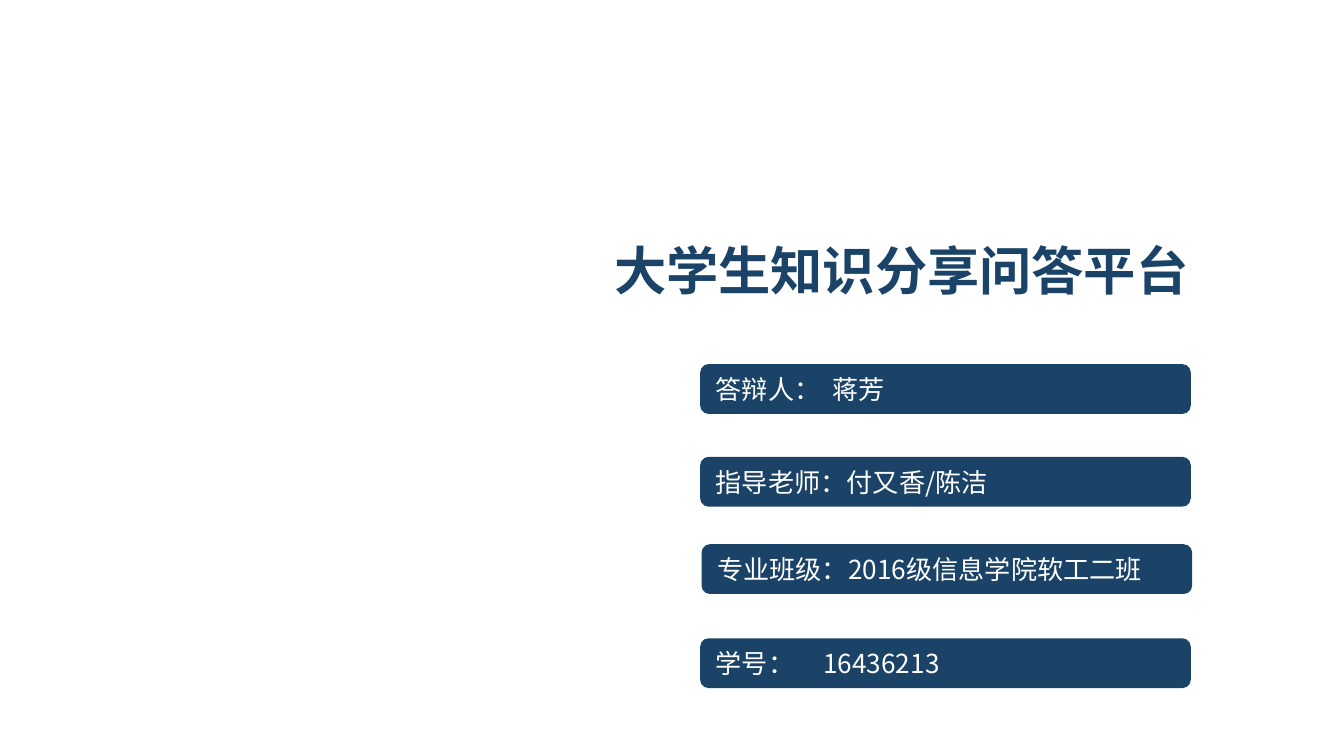
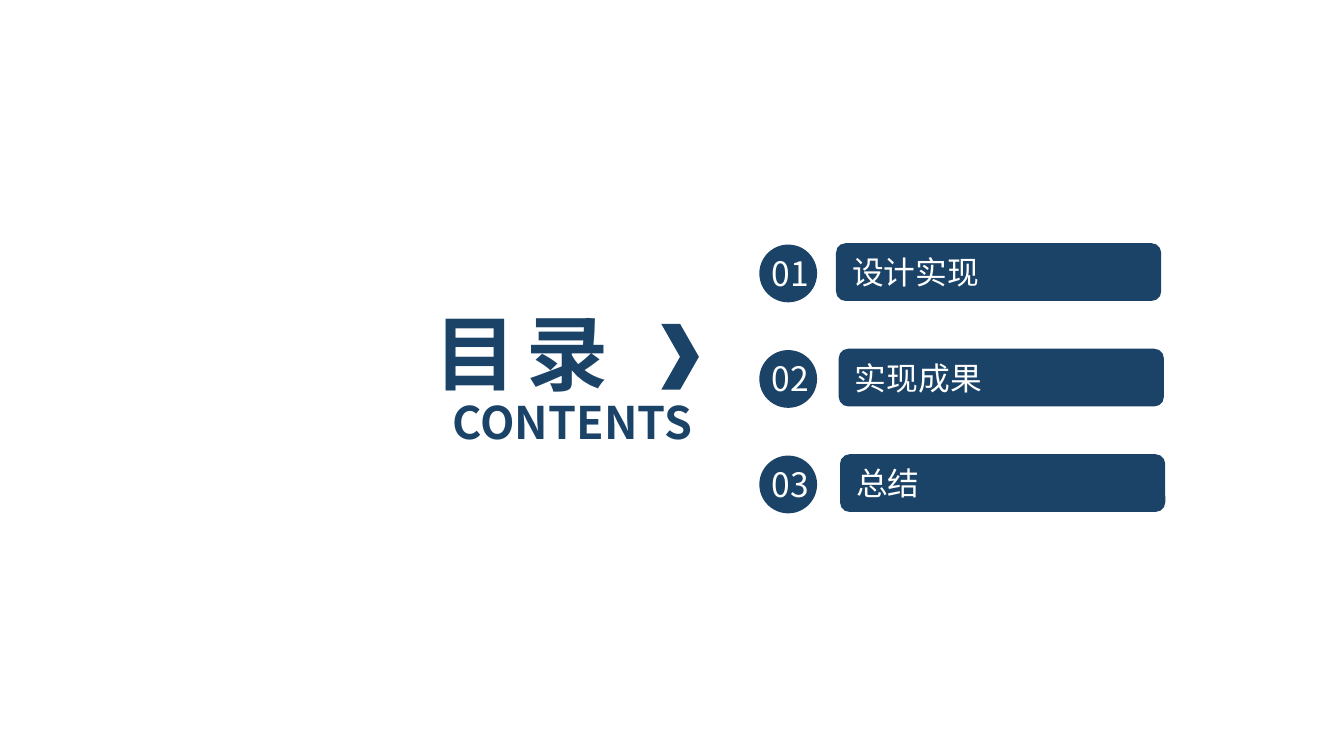
"""Build the cover and contents slides of a thesis defence deck."""
from lxml import etree
from pptx import Presentation
from pptx import util as u
from pptx.dml.color import RGBColor
from pptx.enum import shapes, text
from pptx.oxml.ns import qn

FONT = "Noto Sans CJK SC"
NAVY, WHITE = "1B4367", "FFFFFF"
SHAPE = shapes.MSO_SHAPE
LEFT, CENTER = text.PP_ALIGN.LEFT, text.PP_ALIGN.CENTER
SLIDE_WIDTH = u.Inches(10)
SLIDE_HEIGHT = SLIDE_WIDTH * 9 // 16

COVER_TITLE = "大学生知识分享问答平台"
COVER_BAR = (3.65, 0.37)
COVER_ROWS = [
    {"at": (5.21, 2.71), "words": "答辩人：\t蒋芳", "tab": 0.87},
    {"at": (5.21, 3.4), "words": "指导老师：付又香/陈洁"},
    {"at": (5.22, 4.05), "words": "专业班级：2016级信息学院软工二班"},
    {"at": (5.21, 4.75), "words": "学号：\t16436213", "tab": 0.8},
]

CONTENTS_TITLE, CONTENTS_SUBTITLE = "目 录", "CONTENTS"
CHAPTERS = [("设计实现", 6.22), ("实现成果", 6.24), ("总结", 6.25)]
FIRST_TOP, LAST_TOP = 1.81, 3.38
CHAPTER_PITCH = (LAST_TOP - FIRST_TOP) / (len(CHAPTERS) - 1)
CHAPTER_BAR = (2.42, 0.43)


def paint(fill, color):
    fill.solid()
    fill.fore_color.rgb = RGBColor.from_string(color)


def write(sp, words, size, color=NAVY, bold=False, align=LEFT,
          inset=(0.1, 0.05), spacing=None, tab=None):
    tf = sp.text_frame
    across, down = (u.Inches(v) for v in inset)
    frame = {"word_wrap": True, "auto_size": text.MSO_AUTO_SIZE.SHAPE_TO_FIT_TEXT,
             "vertical_anchor": text.MSO_ANCHOR.MIDDLE,
             "margin_left": across, "margin_right": across,
             "margin_top": down, "margin_bottom": down}
    for name, value in frame.items():
        setattr(tf, name, value)
    p = tf.paragraphs[0]
    p.alignment = align
    if tab:
        stops = etree.SubElement(p._p.get_or_add_pPr(), qn("a:tabLst"))
        etree.SubElement(stops, qn("a:tab"), pos=str(u.Inches(tab)), algn="l")
    r = p.add_run()
    r.text = words
    for name, value in {"size": u.Pt(size), "bold": bold, "name": FONT}.items():
        setattr(r.font, name, value)
    paint(r.font.fill, color)
    rpr = r._r.get_or_add_rPr()
    etree.SubElement(rpr, qn("a:ea"), typeface=FONT)
    if spacing:
        rpr.set("spc", str(round(spacing * 100)))


def add_block(parent, kind, *box):
    sp = parent.shapes.add_shape(kind, *map(u.Inches, box))
    sp.shadow.inherit = False
    paint(sp.fill, NAVY)
    sp.line.fill.background()
    return sp


def add_label(parent, box, words, size, **style):
    sp = parent.shapes.add_textbox(*map(u.Inches, box))
    write(sp, words, size, **style)


def add_bar(s, at, extent, words, size, **style):
    sp = add_block(s, SHAPE.ROUNDED_RECTANGLE, *at, *extent)
    write(sp, words, size, color=WHITE, **style)


def add_titled_slide(prs, box, words, size, **style):
    s = prs.slides.add_slide(prs.slide_layouts[5])
    paint(s.background.fill, WHITE)
    title = s.shapes.title
    for name, value in zip(("left", "top", "width", "height"), box):
        setattr(title, name, u.Inches(value))
    write(title, words, size, bold=True, **style)
    return s


def build_cover(prs):
    s = add_titled_slide(prs, (4.5, 1.73, 4.72, 0.55), COVER_TITLE, 28,
                         inset=(0.07, 0.04))
    for row in COVER_ROWS:
        add_bar(s, row["at"], COVER_BAR, row["words"], 14, tab=row.get("tab"))


def build_contents(prs):
    s = add_titled_slide(prs, (3.13, 2.2, 2.35, 0.84), CONTENTS_TITLE, 44,
                         spacing=-2.2)
    add_label(s, (3.27, 2.89, 2.31, 0.5), CONTENTS_SUBTITLE, 24, bold=True)
    add_block(s, SHAPE.CHEVRON, 4.92, 2.41, 0.28, 0.49)
    for i, (words, left) in enumerate(CHAPTERS):
        top = FIRST_TOP + i * CHAPTER_PITCH
        badge = s.shapes.add_group_shape()
        add_block(badge, SHAPE.OVAL, 5.65, top + 0.01, 0.43, 0.43)
        add_label(badge, (5.62, top + 0.02, 0.52, 0.4), f"{i + 1:02d}", 18,
                  color=WHITE, align=CENTER)
        add_bar(s, (left, top), CHAPTER_BAR, words, 17)


def main():
    prs = Presentation()
    prs.slide_width, prs.slide_height = SLIDE_WIDTH, SLIDE_HEIGHT
    build_cover(prs)
    build_contents(prs)
    prs.save("out.pptx")


if __name__ == "__main__":
    main()
